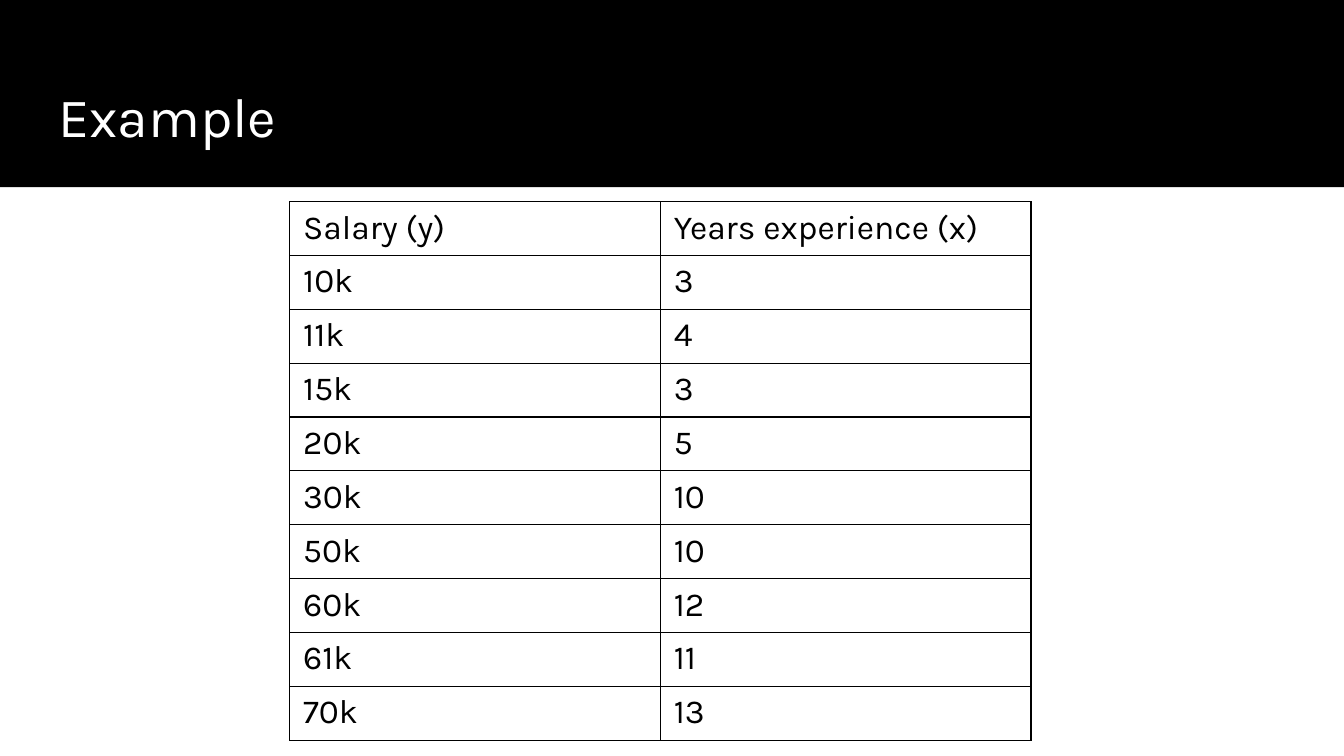
from dataclasses import dataclass

from lxml import etree
from pptx import Presentation
from pptx import util as u
from pptx.dml.color import RGBColor
from pptx.enum import shapes, text
from pptx.oxml import ns


@dataclass(frozen=True)
class Theme:
    font: str = "Karla"
    ink: str = "000000"
    light: str = "FFFFFF"
    title: float = 39.6
    body: float = 24
    rule: float = 1


class Deck:
    """Draws styled elements on the current slide."""

    def __init__(self, theme, wide, high):
        self.theme = theme
        self.prs = Presentation()
        self.prs.slide_width, self.prs.slide_height = u.Cm(wide), u.Cm(high)
        self.slide = self.prs.slides.add_slide(self.prs.slide_layouts[6])

    def label(self, para, words, size, color):
        run = para.add_run()
        run.text = words
        run.font.name = self.theme.font
        run.font.size = u.Pt(size)
        run.font.color.rgb = RGBColor.from_string(color)

    def band(self, *box):
        rect = self.slide.shapes.add_shape(
            shapes.MSO_SHAPE.RECTANGLE, *map(u.Cm, box))
        rect.shadow.inherit = False
        rect.fill.solid()
        rect.fill.fore_color.rgb = RGBColor.from_string(self.theme.ink)
        rect.line.fill.background()

    def title(self, words, *box):
        frame = self.slide.shapes.add_textbox(*map(u.Cm, box)).text_frame
        frame.word_wrap = True
        frame.vertical_anchor = text.MSO_ANCHOR.MIDDLE
        frame.margin_left = frame.margin_right = u.Cm(0.33)
        frame.margin_top = frame.margin_bottom = u.Cm(0.33)
        para = frame.paragraphs[0]
        para.line_spacing = 0.9
        self.label(para, words, self.theme.title, self.theme.light)

    def border(self, cell):
        props = cell._tc.get_or_add_tcPr()
        for side in "LRTB":
            line = etree.SubElement(
                props, ns.qn(f"a:ln{side}"), w=str(u.Pt(self.theme.rule)))
            fill = etree.SubElement(line, ns.qn("a:solidFill"))
            etree.SubElement(fill, ns.qn("a:srgbClr"), val=self.theme.ink)

    def table(self, rows, *box):
        grid = self.slide.shapes.add_table(
            len(rows), len(rows[0]), *map(u.Cm, box)).table
        grid.first_row = grid.horz_banding = False
        for row, values in zip(grid.rows, rows):
            for cell, value in zip(row.cells, values):
                self.border(cell)
                cell.fill.background()
                cell.margin_left = cell.margin_right = u.Cm(0.34)
                cell.margin_top = cell.margin_bottom = u.Cm(0.17)
                self.label(cell.text_frame.paragraphs[0], value,
                           self.theme.body, self.theme.ink)


ROWS = [
    ("Salary (y)", "Years experience (x)"),
    ("10k", "3"),
    ("11k", "4"),
    ("15k", "3"),
    ("20k", "5"),
    ("30k", "10"),
    ("50k", "10"),
    ("60k", "12"),
    ("61k", "11"),
    ("70k", "13"),
]


def main():
    deck = Deck(Theme(), 33.87, 19.05)
    deck.band(0, 0, 33.87, 4.72)
    deck.title("Example", 1.14, 1.85, 31.55, 2.31)
    deck.table(ROWS, 7.3, 5.08, 18.68, 13.54)
    deck.prs.save("out.pptx")


if __name__ == "__main__":
    main()
